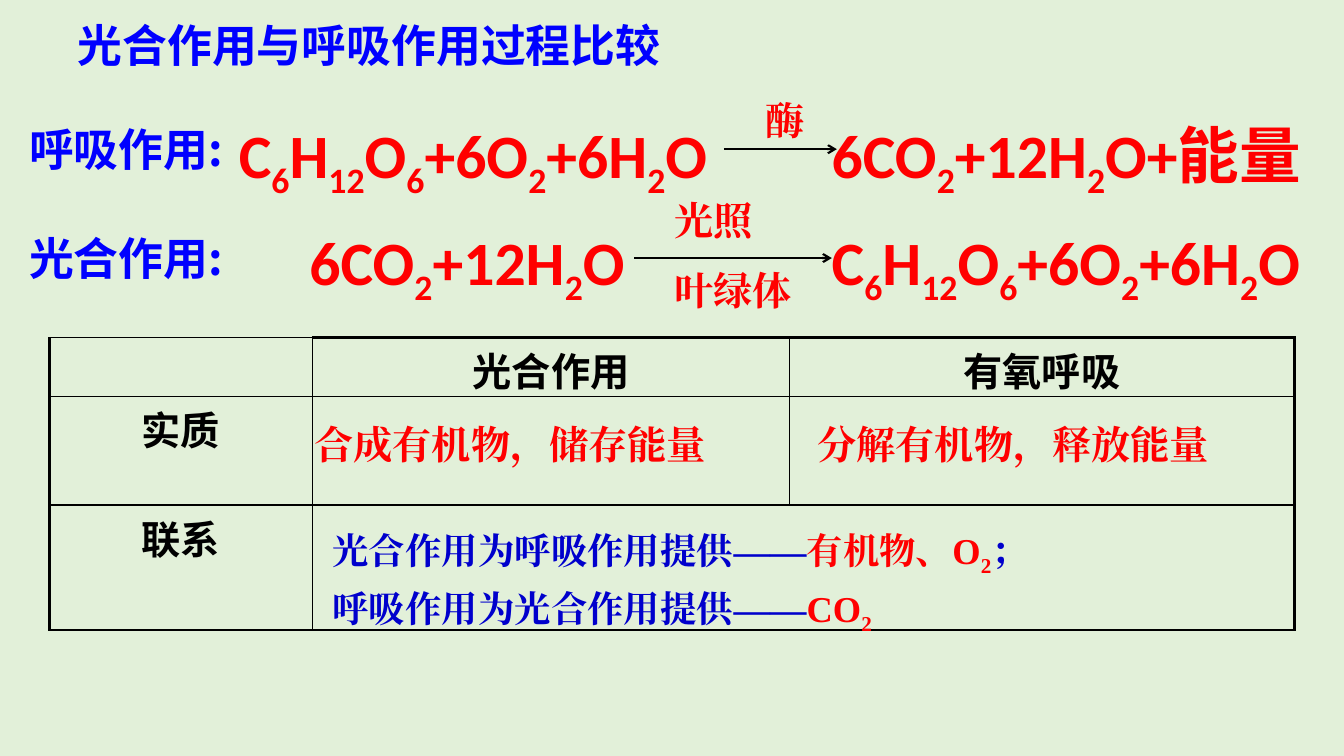
from lxml.etree import SubElement
from pptx import Presentation
from pptx.dml.color import RGBColor
from pptx.enum.shapes import MSO_CONNECTOR
from pptx.enum.text import MSO_ANCHOR, MSO_AUTO_SIZE, PP_ALIGN
from pptx.oxml.ns import qn
from pptx.util import Inches, Pt

COLORS = {"background": "E2F0D9", "heading": "0000FF", "key": "FF0000",
          "link": "0000CC", "ink": "000000"}
CJK, LATIN, SERIF = "Noto Sans CJK SC", "Calibri", "Times New Roman"
THICK, THIN = 2.25, 1


def rgb(name):
    return RGBColor.from_string(COLORS[name])


def split_formula(text):
    """Split text into [string, is_subscript]; digits after a letter are subscripts."""
    parts, subscript, previous = [], False, ""
    for character in text:
        subscript = character.isdigit() and (subscript or previous.isalpha())
        if parts and parts[-1][1] == subscript:
            parts[-1][0] += character
        else:
            parts.append([character, subscript])
        previous = character
    return parts


def write_text(frame, paragraphs, size=28, font=SERIF, color="key",
               gap=0, align=PP_ALIGN.LEFT, line_spacing=None):
    """Fill a frame; each paragraph is a string or a list of (string, color)."""
    for index, content in enumerate(paragraphs):
        paragraph = frame.add_paragraph() if index else frame.paragraphs[0]
        paragraph.alignment = align
        paragraph.line_spacing = line_spacing
        paragraph.space_before = Pt(gap if index else 0)
        pieces = [(content, color)] if isinstance(content, str) else content
        for piece, piece_color in pieces:
            for text, subscript in split_formula(piece):
                run = paragraph.add_run()
                run.text = text
                run.font.size, run.font.bold = Pt(size), True
                run.font.name = font
                run.font.color.rgb = rgb(piece_color)
                properties = run.font._element
                SubElement(properties, qn("a:ea")).set("typeface", font)
                if subscript:
                    properties.set("baseline", "-25000")


class ComparisonSlide:
    def __init__(self, presentation):
        self.slide = presentation.slides.add_slide(presentation.slide_layouts[5])
        fill = self.slide.background.fill
        fill.solid()
        fill.fore_color.rgb = rgb("background")

    def title(self, text, left, top, width, height):
        shape = self.slide.shapes.title
        shape.left, shape.top = Inches(left), Inches(top)
        shape.width, shape.height = Inches(width), Inches(height)
        frame = shape.text_frame
        frame.auto_size = MSO_AUTO_SIZE.NONE
        frame.vertical_anchor = MSO_ANCHOR.MIDDLE
        write_text(frame, [text], size=32, font=CJK, color="heading")

    def text(self, paragraphs, left, top, width, height, **text_format):
        box = self.slide.shapes.add_textbox(
            Inches(left), Inches(top), Inches(width), Inches(height))
        box.text_frame.word_wrap = True
        write_text(box.text_frame, paragraphs, **text_format)

    def arrow(self, start, end, y):
        connector = self.slide.shapes.add_connector(
            MSO_CONNECTOR.STRAIGHT, Inches(start), Inches(y), Inches(end), Inches(y))
        connector.line.color.rgb = rgb("ink")
        connector.line.width = Pt(1.5)
        SubElement(connector.line._get_or_add_ln(), qn("a:tailEnd")).set("type", "arrow")
        SubElement(connector._element.spPr, qn("a:effectLst"))

    def table(self, left, top, widths, heights, texts):
        table = self.slide.shapes.add_table(
            len(heights), len(widths), Inches(left), Inches(top),
            Inches(sum(widths)), Inches(sum(heights))).table
        table.first_row = table.horz_banding = False
        for column, width in zip(table.columns, widths):
            column.width = Inches(width)
        for row, height in zip(table.rows, heights):
            row.height = Inches(height)
        last_row, last_column = len(heights) - 1, len(widths) - 1
        table.cell(last_row, 1).merge(table.cell(last_row, last_column))
        for row in range(len(heights)):
            for column in range(len(widths)):
                cell = table.cell(row, column)
                if cell.is_spanned:
                    continue
                span = cell.span_width if cell.is_merge_origin else 1
                self.borders(cell, {
                    "a:lnL": column == 0,
                    "a:lnR": column + span - 1 == last_column,
                    "a:lnT": row == 0 and column > 0,
                    "a:lnB": row == last_row})
                cell.fill.background()
                if (row, column) in texts:
                    cell.margin_top, cell.margin_bottom = Inches(0.15), 0
                    write_text(cell.text_frame, [texts[row, column]], font=CJK,
                               color="ink", align=PP_ALIGN.CENTER, line_spacing=0.75)

    def borders(self, cell, thick_sides):
        properties = cell._tc.get_or_add_tcPr()
        for side, thick in thick_sides.items():
            line = SubElement(properties, qn(side))
            line.set("w", str(Pt(THICK if thick else THIN)))
            fill = SubElement(line, qn("a:solidFill"))
            SubElement(fill, qn("a:srgbClr")).set("val", COLORS["ink"])


def main():
    presentation = Presentation()
    presentation.slide_width, presentation.slide_height = Inches(13.33), Inches(7.5)
    slide = ComparisonSlide(presentation)
    slide.title("光合作用与呼吸作用过程比较", 0.67, 0.19, 8.24, 0.51)

    glucose_side, carbon_side = "C6H12O6+6O2+6H2O", "6CO2+12H2O"
    equations = [
        ("呼吸作用:", 1.16, 1.11, glucose_side, 2.27, carbon_side + "+能量"),
        ("光合作用:", 2.24, 2.17, carbon_side, 2.97, glucose_side),
    ]
    for label, label_top, top, reactants, left, products in equations:
        slide.text([label], 0.19, label_top, 2.4, 0.64, size=32, font=CJK, color="heading")
        slide.text([reactants], left, top, 5.1, 0.85, size=44, font=LATIN)
        slide.text([products], 8.15, top, 5.15, 0.85, size=44, font=LATIN)
    slide.arrow(7.18, 8.3, 1.48)
    slide.arrow(6.29, 8.25, 2.56)
    slide.text(["酶"], 7.49, 0.91, 0.6, 0.57)
    slide.text(["光照", "叶绿体"], 6.59, 1.9, 1.65, 1.28, gap=16)

    slide.table(0.49, 3.35, [2.61, 4.73, 5.01], [0.58, 1.08, 1.24], {
        (0, 1): "光合作用", (0, 2): "有氧呼吸", (1, 0): "实质", (2, 0): "联系"})
    slide.text(["合成有机物，储存能量"], 3.02, 4.12, 4.99, 0.57)
    slide.text(["分解有机物，释放能量"], 8.01, 4.12, 4.86, 0.57)
    slide.text([
        [("光合作用为呼吸作用提供——", "link"), ("有机物、O2", "key"), ("；", "link")],
        [("呼吸作用为光合作用提供——", "link"), ("CO2", "key")],
    ], 3.2, 5.19, 9.41, 1.06, size=26, gap=6)
    presentation.save("out.pptx")


if __name__ == "__main__":
    main()
